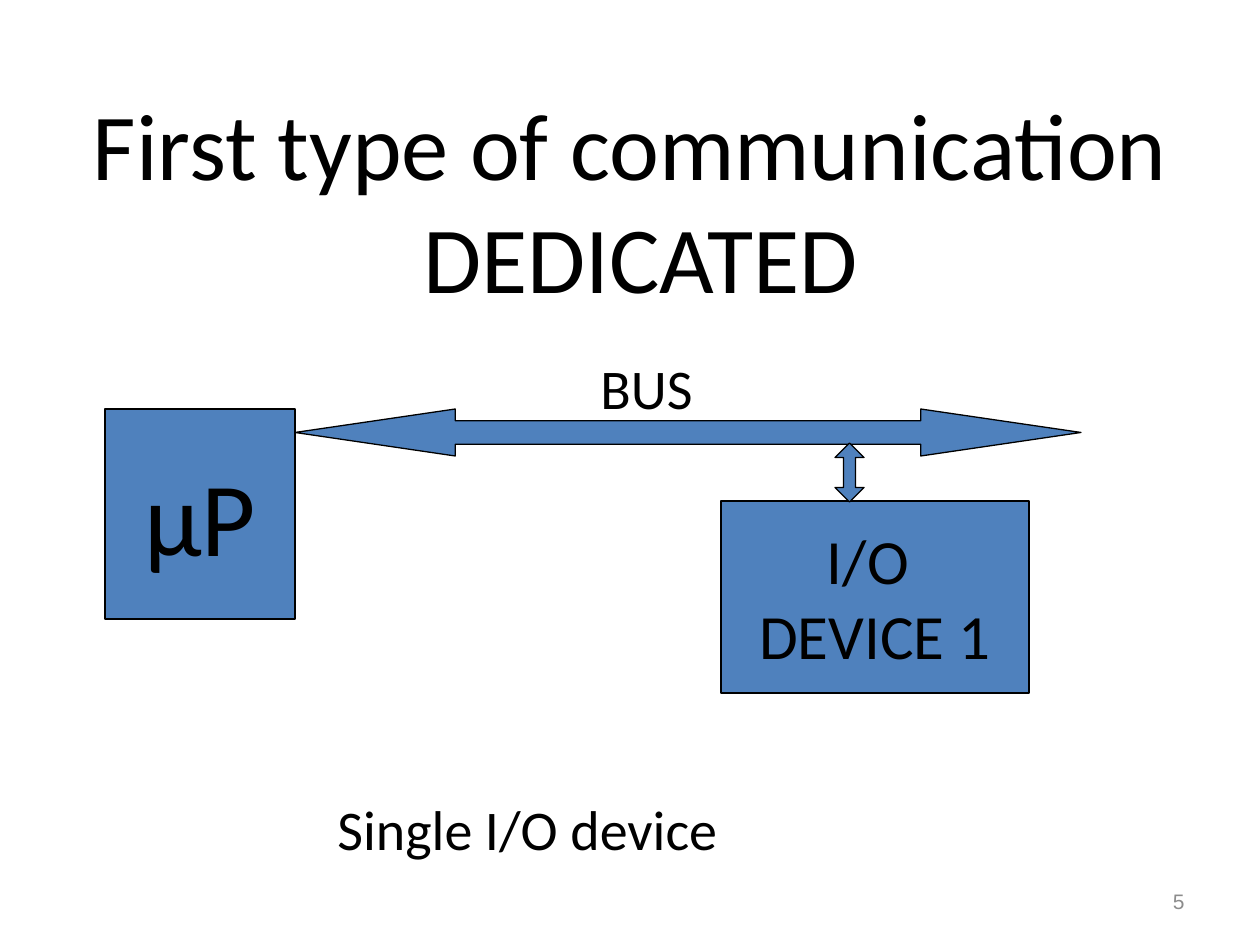
from pptx import Presentation
from pptx.dml.color import RGBColor
from pptx.enum.shapes import MSO_SHAPE as Shape
from pptx.enum.text import MSO_ANCHOR as Anchor, PP_ALIGN as Align
from pptx.util import Emu, Pt

BLACK = RGBColor(0x00, 0x00, 0x00)
GREY = RGBColor(0x8C, 0x8C, 0x8C)
BLUE = RGBColor(0x4F, 0x81, 0xBD)

SLIDE_SIZE = (1260, 945)

BLOCKS = [
    (Shape.RECTANGLE, (105, 409, 190, 210), (), "µP", 60),
    (Shape.LEFT_RIGHT_ARROW, (295, 409, 786, 47), (0.5, 3.41), "", 0),
    (Shape.RECTANGLE, (721, 501, 308, 192), (), "I/O \nDEVICE 1", 36),
    (Shape.UP_DOWN_ARROW, (835, 443, 29, 59), (0.5, 0.41), "", 0),
]

LABELS = [
    ("First type of communication\v DEDICATED", (0, 42, 1260, 315),
     Align.CENTER, Anchor.MIDDLE, 54, "Calibri", BLACK),
    ("BUS", (588, 347, 168, 79), Align.LEFT, Anchor.TOP, 32, "Calibri", BLACK),
    ("Single I/O device", (325, 788, 483, 79), Align.LEFT, Anchor.TOP, 32, "Calibri", BLACK),
    ("5", (903, 876, 294, 50), Align.RIGHT, Anchor.MIDDLE, 12, "Arial", GREY),
]


def px(length):
    """Turn pixels into EMU."""
    return Emu(round(length * 914400 / 126))


def write(frame, text, align, anchor, size, font_name, colour):
    """Fill a text frame and format its runs."""
    frame.text = text
    frame.vertical_anchor = anchor
    for paragraph in frame.paragraphs:
        paragraph.alignment = align
        for run in paragraph.runs:
            run.font.size = Pt(size)
            run.font.name = font_name
            run.font.color.rgb = colour


def add_block(slide, preset, box, adjustments, text, size):
    """Draw a blue outlined block or arrow."""
    block = slide.shapes.add_shape(preset, *map(px, box))
    block.shadow.inherit = False
    block.fill.solid()
    block.fill.fore_color.rgb = BLUE
    block.line.color.rgb = BLACK
    block.line.width = Pt(0.75)
    for index, value in enumerate(adjustments):
        block.adjustments[index] = value
    if text:
        block.text_frame.word_wrap = False
        write(block.text_frame, text, Align.CENTER, Anchor.MIDDLE, size, "Calibri", BLACK)


def add_label(slide, text, box, *style):
    """Place a wrapping text box."""
    label = slide.shapes.add_textbox(*map(px, box))
    label.text_frame.word_wrap = True
    write(label.text_frame, text, *style)


def main():
    """Build and save the slide."""
    deck = Presentation()
    deck.slide_width, deck.slide_height = map(px, SLIDE_SIZE)
    slide = deck.slides.add_slide(deck.slide_layouts[6])
    for block in BLOCKS:
        add_block(slide, *block)
    for label in LABELS:
        add_label(slide, *label)
    deck.save("out.pptx")


if __name__ == "__main__":
    main()
